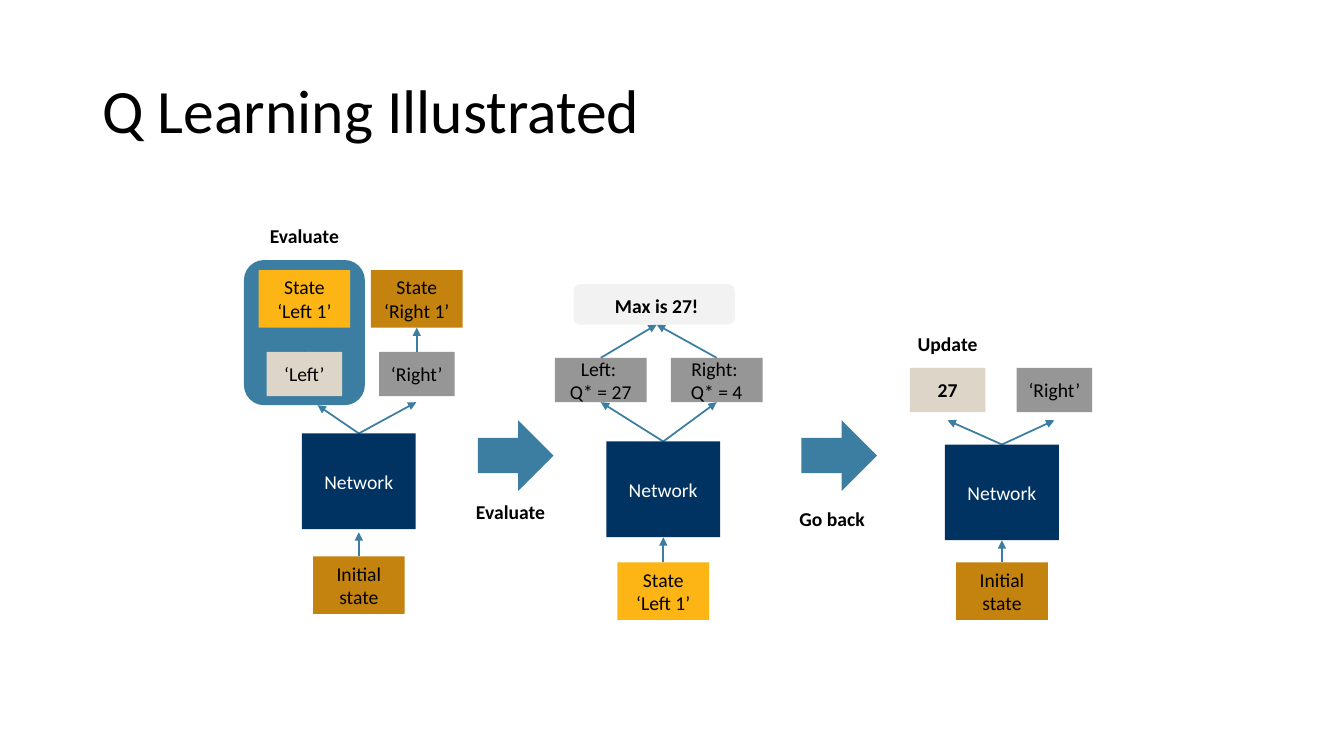
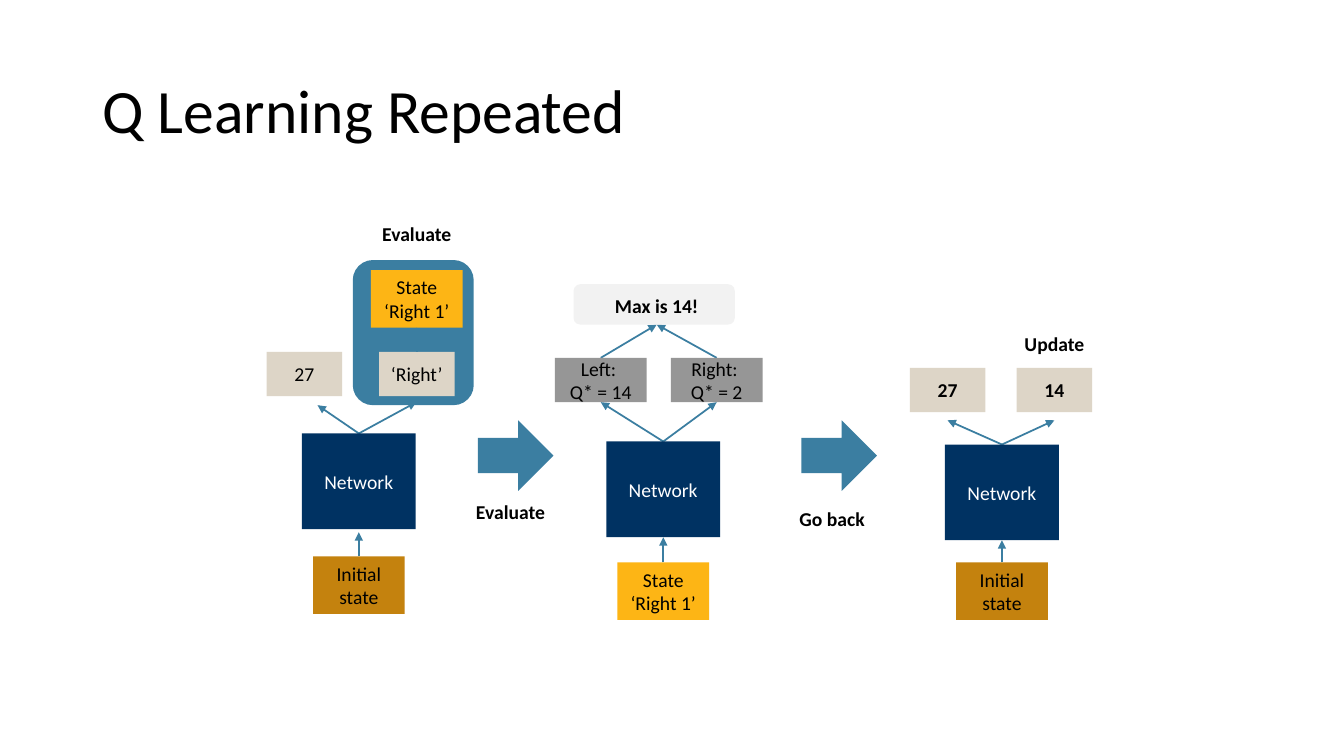
from dataclasses import dataclass
from typing import NamedTuple

from lxml.etree import SubElement
from pptx import Presentation
from pptx.dml.color import RGBColor
from pptx.enum.shapes import MSO_CONNECTOR as Conn, MSO_SHAPE as Shp
from pptx.enum.text import MSO_ANCHOR as Anchor, PP_ALIGN as Align
from pptx.oxml.ns import qn
from pptx.util import Inches, Pt

CELL = Inches(0.1)
COLS, ROWS = 133.33, 75

BLACK = RGBColor(0x00, 0x00, 0x00)
WHITE = RGBColor(0xFF, 0xFF, 0xFF)
NAVY = RGBColor(0x00, 0x32, 0x62)
BLUE = RGBColor(0x3B, 0x7E, 0xA1)
GOLD = RGBColor(0xFD, 0xB5, 0x15)
BRONZE = RGBColor(0xC4, 0x82, 0x0E)
SAND = RGBColor(0xDD, 0xD5, 0xC7)
GREY = RGBColor(0x96, 0x96, 0x96)
PALE = RGBColor(0xF2, 0xF2, 0xF2)

BODY = {"name": "Calibri", "size": Pt(14), "bold": False}
BOLD = {**BODY, "bold": True}
HEADING = {**BODY, "size": Pt(44)}
SIDES = ("left", "right", "top", "bottom")


class Size(NamedTuple):
    cols: float
    rows: float


class Point(NamedTuple):
    x: float
    y: float


ACTION = Size(7.5, 4.4)
VALUE = Size(9.1, 4.4)
STATE = Size(9.1, 5.7)
NETWORK = Size(11.3, 9.5)
LABEL = Size(15.5, 4)
PILL = Size(16, 4)
FRAME = Size(12, 14.4)
FLOW = Size(7.5, 7)

FIRST_XS, VALUE_XS, LAST_XS = (30.2, 41.35), (59.6, 71.1), (94, 104.6)
FRAME_XS = (30.2, 41)
FIRST_Y, VALUE_Y, LAST_Y, STATE_Y = 34.9, 35.5, 36.5, 26.8


class Stage(NamedTuple):
    x: float
    top: float
    input_top: float
    input_tip: float
    tips: tuple[Point, Point]


STAGES = (
    Stage(35.6, 43, 55.2, 52.8, (Point(31.5, 40.2), Point(41.3, 39.9))),
    Stage(65.8, 43.8, 55.8, 53.3, tuple(Point(x, 39.9) for x in VALUE_XS)),
    Stage(99.4, 44.1, 55.8, 53.6, tuple(Point(x, 41.7) for x in LAST_XS)),
)


class Step(NamedTuple):
    text: str
    arrow_x: float
    label: Point


STEPS = (
    Step("Evaluate", 51.15, Point(50.65, 48.6)),
    Step("Go back", 83.25, Point(82.55, 49.3)),
)


class Node(NamedTuple):
    text: str
    fill: RGBColor
    font: dict = BODY


@dataclass(frozen=True)
class Round:
    title: str
    chosen: int
    evaluate_top: float
    actions: tuple[Node, Node]
    states: dict[int, Node]
    values: tuple[int, int]
    updated: tuple[Node, Node]


ROUNDS = (
    Round(
        "Q Learning Illustrated", 0, 21.2,
        (Node("‘Left’", SAND), Node("‘Right’", GREY)),
        {0: Node("State ‘Left 1’", GOLD), 1: Node("State ‘Right 1’", BRONZE)},
        (27, 4),
        (Node("27", SAND, BOLD), Node("‘Right’", GREY)),
    ),
    Round(
        "Q Learning Repeated", 1, 21,
        (Node("27", SAND), Node("‘Right’", SAND)),
        {1: Node("State ‘Right 1’", GOLD)},
        (14, 2),
        (Node("27", SAND, BOLD), Node("14", SAND, BOLD)),
    ),
)


def grid(*cells: float) -> list[int]:
    return [round(c * CELL) for c in cells]


def write(s, text: str, font: dict, color: RGBColor = BLACK,
          anchor=Anchor.MIDDLE, align=Align.CENTER) -> None:
    tf = s.text_frame
    tf.word_wrap = True
    tf.vertical_anchor = anchor
    for side in SIDES:
        setattr(tf, f"margin_{side}", Inches(0.1))
    for i, line in enumerate(text.split("\n")):
        p = tf.add_paragraph() if i else tf.paragraphs[0]
        p.alignment = align
        r = p.add_run()
        r.text = line
        r.font.color.rgb = color
        for key, value in font.items():
            setattr(r.font, key, value)


def add_block(sp, kind, x: float, top: float, size: Size, fill: RGBColor):
    s = sp.add_shape(kind, *grid(x - size.cols / 2, top, *size))
    s.shadow.inherit = False
    s.fill.solid()
    s.fill.fore_color.rgb = fill
    s.line.fill.background()
    return s


def add_node(sp, node: Node, x: float, top: float, size: Size,
             color: RGBColor = BLACK) -> None:
    s = add_block(sp, Shp.RECTANGLE, x, top, size, node.fill)
    write(s, node.text, node.font, color)


def add_label(sp, text: str, x: float, top: float) -> None:
    s = sp.add_textbox(*grid(x - LABEL.cols / 2, top, *LABEL))
    write(s, text, BOLD, anchor=Anchor.TOP)


def add_arrow(sp, start: Point, end: Point) -> None:
    c = sp.add_connector(Conn.STRAIGHT, *grid(*start, *end))
    c.line.color.rgb = BLUE
    c.line.width = Pt(1.25)
    SubElement(c.line._get_or_add_ln(), qn("a:tailEnd"), type="triangle")
    SubElement(c._element.spPr, qn("a:effectLst"))


def add_title(sp, text: str) -> None:
    s = sp.add_textbox(*grid(9.2, 4, COLS - 2 * 9.2, 14.5))
    write(s, text, HEADING, align=Align.LEFT)
    s.text_frame.paragraphs[0].line_spacing = 0.9


def add_stage(sp, stage: Stage, source: Node) -> None:
    for tip in stage.tips:
        add_arrow(sp, Point(stage.x, stage.top), tip)
    add_node(sp, Node("Network", NAVY), stage.x, stage.top, NETWORK, WHITE)
    add_node(sp, source, stage.x, stage.input_top, STATE)
    add_arrow(sp, Point(stage.x, stage.input_top),
              Point(stage.x, stage.input_tip))


def add_first_outputs(sp, rnd: Round) -> None:
    add_block(sp, Shp.ROUNDED_RECTANGLE, FRAME_XS[rnd.chosen], 25.8,
              FRAME, BLUE)
    add_label(sp, "Evaluate", FIRST_XS[rnd.chosen], rnd.evaluate_top)
    for x, action in zip(FIRST_XS, rnd.actions):
        add_node(sp, action, x, FIRST_Y, ACTION)
    for i, state in rnd.states.items():
        x = FIRST_XS[i]
        add_node(sp, state, x, STATE_Y, STATE)
        add_arrow(sp, Point(x, FIRST_Y), Point(x, STATE_Y + STATE.rows))


def add_values(sp, rnd: Round) -> None:
    for x, name, value in zip(VALUE_XS, ("Left", "Right"), rnd.values):
        add_arrow(sp, Point(x, VALUE_Y), Point(65.15, 32.2))
        add_node(sp, Node(f"{name}: \nQ* = {value}", GREY), x, VALUE_Y, VALUE)
    add_block(sp, Shp.ROUNDED_RECTANGLE, 64.9, 28.2, PILL, PALE)
    add_label(sp, f"Max is {max(rnd.values)}!", 65.15, 28.2)


def add_updates(sp, rnd: Round) -> None:
    add_label(sp, "Update", LAST_XS[rnd.chosen], 31.9)
    for x, node in zip(LAST_XS, rnd.updated):
        add_node(sp, node, x, LAST_Y, ACTION)


def draw_round(prs, rnd: Round) -> None:
    sp = prs.slides.add_slide(prs.slide_layouts[6]).shapes
    add_title(sp, rnd.title)
    initial = Node("Initial state", BRONZE)
    for stage, source in zip(STAGES,
                             (initial, rnd.states[rnd.chosen], initial)):
        add_stage(sp, stage, source)
    for add_outputs in (add_first_outputs, add_values, add_updates):
        add_outputs(sp, rnd)
    for step in STEPS:
        add_block(sp, Shp.RIGHT_ARROW, step.arrow_x, 41.7, FLOW, BLUE)
        add_label(sp, step.text, *step.label)


def main() -> None:
    prs = Presentation()
    prs.slide_width, prs.slide_height = grid(COLS, ROWS)
    for rnd in ROUNDS:
        draw_round(prs, rnd)
    prs.save("out.pptx")


if __name__ == "__main__":
    main()
